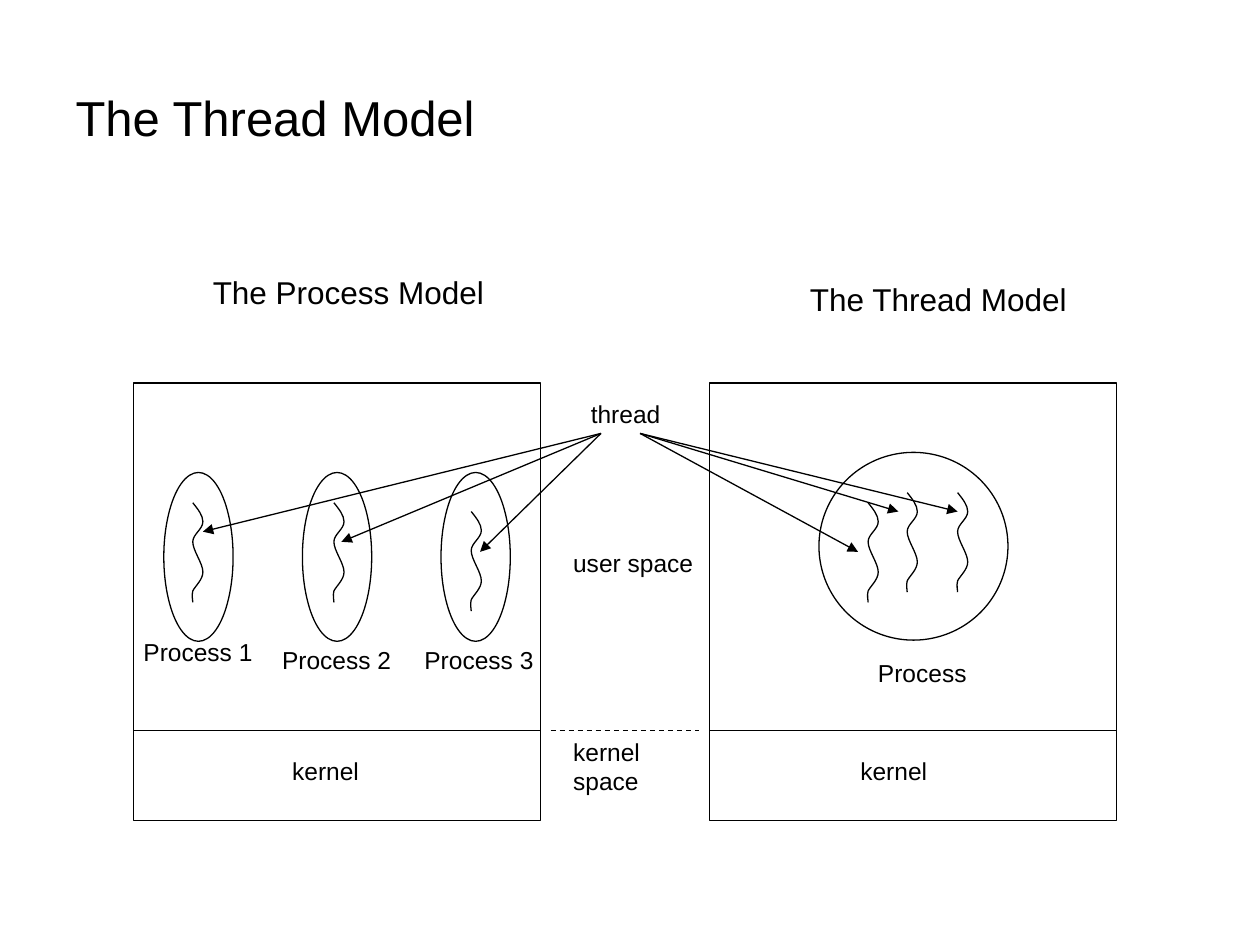
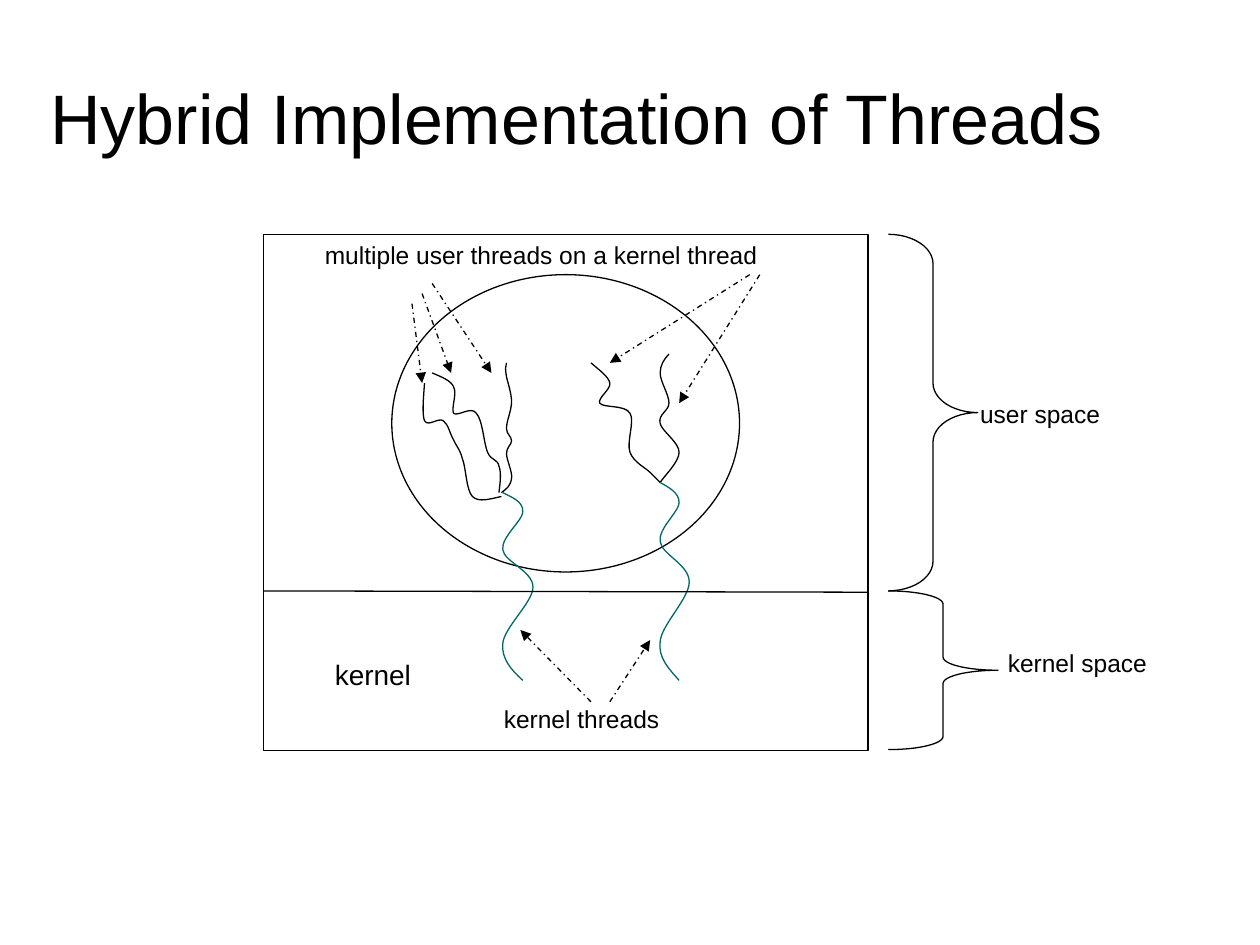
from dataclasses import dataclass

import lxml.etree
import pptx
import pptx.dml.color
import pptx.enum.dml
import pptx.enum.shapes
import pptx.enum.text
import pptx.oxml
import pptx.oxml.ns
import pptx.util
from pptx.shapes.base import BaseShape
from pptx.slide import Slide

PX = 9144  # 100 px to the inch
FONT = "Arial"
INK = "000000"
KERNEL_THREAD = "006666"
LINE_WIDTH = 0.75
LABEL_SLACK = 4  # keeps a label on one line

Point = tuple[int, int]
Dash = pptx.enum.dml.MSO_LINE
Preset = pptx.enum.shapes.MSO_SHAPE


@dataclass(frozen=True)
class Box:
    left: int
    top: int
    width: int
    height: int

    def emu(self) -> list[int]:
        return [px * PX for px in (self.left, self.top, self.width, self.height)]


@dataclass(frozen=True)
class Label:
    box: Box
    text: str
    size: int = 14


@dataclass(frozen=True)
class Line:
    start: Point
    end: Point
    arrow: bool = False
    dash: Dash | None = None


@dataclass(frozen=True)
class Curve:
    """A start point, then three Bezier points for each segment."""
    points: list[Point]
    color: str = INK


def rgb(color: str) -> pptx.dml.color.RGBColor:
    return pptx.dml.color.RGBColor.from_string(color)


def set_line(line: pptx.dml.line.LineFormat, color: str = INK) -> None:
    line.color.rgb = rgb(color)
    line.width = pptx.util.Pt(LINE_WIDTH)


def set_outline(shape: BaseShape, color: str = INK) -> None:
    shape.shadow.inherit = False
    shape.fill.background()
    set_line(shape.line, color)


def set_text(frame: pptx.text.text.TextFrame, text: str, size: int) -> None:
    frame.text = text
    for paragraph in frame.paragraphs:
        paragraph.alignment = pptx.enum.text.PP_ALIGN.LEFT
        paragraph.font.name = FONT
        paragraph.font.size = pptx.util.Pt(size)
        paragraph.font.color.rgb = rgb(INK)


def add_titled_slide(deck: pptx.presentation.Presentation, title: Label) -> Slide:
    slide = deck.slides.add_slide(deck.slide_layouts[5])
    heading = slide.shapes.title
    heading.left, heading.top, heading.width, heading.height = title.box.emu()
    heading.text_frame.vertical_anchor = pptx.enum.text.MSO_ANCHOR.MIDDLE
    set_text(heading.text_frame, title.text, title.size)
    return slide


def add_outline(slide: Slide, preset: Preset, box: Box) -> BaseShape:
    outline = slide.shapes.add_shape(preset, *box.emu())
    set_outline(outline)
    return outline


def add_label(slide: Slide, label: Label) -> None:
    left, top, width, height = label.box.emu()
    caption = slide.shapes.add_textbox(left, top, width + LABEL_SLACK * PX, height)
    frame = caption.text_frame
    frame.word_wrap = False
    frame.auto_size = pptx.enum.text.MSO_AUTO_SIZE.SHAPE_TO_FIT_TEXT
    set_text(frame, label.text, label.size)


def add_line(slide: Slide, line: Line) -> None:
    ends = [px * PX for px in (*line.start, *line.end)]
    connector = slide.shapes.add_connector(
        pptx.enum.shapes.MSO_CONNECTOR.STRAIGHT, *ends)
    set_line(connector.line)
    if line.dash is not None:
        connector.line.dash_style = line.dash
    properties = connector.line._get_or_add_ln()
    if line.arrow:
        head = pptx.oxml.parse_xml(
            f'<a:tailEnd {pptx.oxml.ns.nsdecls("a")} type="triangle"/>')
        properties.append(head)
    properties.addnext(
        pptx.oxml.parse_xml(f'<a:effectLst {pptx.oxml.ns.nsdecls("a")}/>'))


def add_curve(slide: Slide, curve: Curve) -> None:
    """Draw a freeform whose line segments are joined by threes into Beziers."""
    start, *others = curve.points
    builder = slide.shapes.build_freeform(*start, scale=PX)
    builder.add_line_segments(others, close=False)
    thread = builder.convert_to_shape()
    segments = list(thread._element.iter(pptx.oxml.ns.qn("a:lnTo")))
    outline = segments[0].getparent()
    for first in range(0, len(segments), 3):
        bend = lxml.etree.SubElement(outline, pptx.oxml.ns.qn("a:cubicBezTo"))
        for segment in segments[first:first + 3]:
            bend.append(segment[0])
            outline.remove(segment)
    set_outline(thread, curve.color)


def add_diagram(slide: Slide, curves: list[Curve], lines: list[Line],
                labels: list[Label]) -> None:
    for curve in curves:
        add_curve(slide, curve)
    for line in lines:
        add_line(slide, line)
    for label in labels:
        add_label(slide, label)


# Path of one thread, from its upper end
WIGGLE = [(0, 0), (4, 5), (8, 10), (8, 15), (8, 21), (0, 25), (0, 31),
          (0, 38), (8, 48), (8, 55), (8, 61), (2, 66), (0, 70),
          (-1, 74), (0, 77), (0, 79)]


def build_thread_model(deck: pptx.presentation.Presentation) -> None:
    slide = add_titled_slide(
        deck, Label(Box(50, 30, 900, 125), "The Thread Model", 28))
    kernel_top, model_width = 580, 323
    lines = [Line((437, kernel_top), (555, kernel_top), dash=Dash.DASH)]
    for left in (106, 563):
        add_outline(slide, Preset.RECTANGLE, Box(left, 304, model_width, 347))
        lines.append(Line((left, kernel_top), (left + model_width, kernel_top)))
    for number in range(3):
        add_outline(slide, Preset.OVAL, Box(130 + 110 * number, 375, 55, 134))
    add_outline(slide, Preset.OVAL, Box(650, 359, 150, 149))

    thread_tops = [(153, 399), (265, 399), (374, 406),
                   (689, 399), (720, 391), (760, 391)]
    threads = [Curve([(x + dx, y + dy) for dx, dy in WIGGLE])
               for x, y in thread_tops]
    targets = {(477, 344): [(381, 438), (271, 430), (161, 422)],
               (508, 344): [(681, 438), (713, 406), (760, 406)]}
    lines += [Line(start, end, arrow=True)
              for start, ends in targets.items() for end in ends]
    add_diagram(slide, threads, lines, [
        Label(Box(459, 312, 75, 34), "thread"),
        Label(Box(104, 501, 106, 34), "Process 1"),
        Label(Box(214, 507, 106, 34), "Process 2"),
        Label(Box(327, 507, 106, 34), "Process 3"),
        Label(Box(687, 517, 90, 34), "Process"),
        Label(Box(445, 430, 115, 34), "user space"),
        Label(Box(445, 580, 78, 57), "kernel\nspace"),
        Label(Box(222, 595, 73, 34), "kernel"),
        Label(Box(673, 595, 73, 34), "kernel"),
        Label(Box(159, 212, 235, 40), "The Process Model", 18),
        Label(Box(633, 217, 224, 40), "The Thread Model", 18),
    ])


USER_THREADS = [
    [(343, 296), (350, 299), (358, 302), (360, 307), (363, 312), (358, 324),
     (360, 328), (363, 331), (374, 322), (378, 328), (383, 333), (384, 352),
     (387, 359), (390, 366), (395, 364), (396, 370), (398, 375), (397, 383),
     (396, 391)],
    [(398, 391), (402, 388), (405, 386), (406, 380), (407, 375), (402, 365),
     (402, 360), (402, 355), (406, 353), (406, 350), (406, 346), (402, 345),
     (402, 340), (402, 334), (406, 326), (406, 319), (406, 312), (403, 304),
     (402, 299), (401, 293), (401, 291), (402, 288)],
    [(398, 394), (389, 396), (380, 399), (375, 394), (370, 389), (370, 371),
     (367, 364), (365, 356), (362, 354), (360, 349), (357, 344), (356, 337),
     (352, 334), (348, 331), (340, 339), (337, 334), (335, 329), (336, 317),
     (337, 304)],
    [(469, 288), (476, 294), (483, 299), (484, 304), (485, 309), (474, 316),
     (476, 320), (479, 324), (496, 321), (500, 328), (504, 334), (497, 351),
     (500, 359), (503, 367), (512, 371), (516, 375), (520, 379), (522, 381),
     (524, 383)],
    [(531, 281), (527, 285), (524, 290), (524, 296), (524, 303), (531, 313),
     (531, 320), (531, 326), (522, 329), (524, 336), (525, 342), (539, 351),
     (539, 359), (539, 367), (526, 379), (524, 383)],
]
KERNEL_THREADS = [
    [(399, 391), (407, 395), (415, 398), (415, 406), (415, 413), (398, 426),
     (399, 436), (400, 446), (423, 453), (423, 466), (423, 478), (400, 498),
     (399, 511), (398, 523), (406, 532), (415, 540)],
    [(524, 383), (531, 387), (539, 391), (539, 399), (539, 406), (522, 420),
     (524, 430), (525, 440), (547, 448), (547, 462), (547, 475), (525, 496),
     (524, 509), (522, 522), (531, 531), (539, 540)],
]


def build_hybrid_threads(deck: pptx.presentation.Presentation) -> None:
    slide = add_titled_slide(
        deck, Label(Box(30, 30, 920, 125), "Hybrid Implementation of Threads", 40))
    add_outline(slide, Preset.RECTANGLE, Box(209, 186, 480, 410))
    add_outline(slide, Preset.OVAL, Box(311, 218, 276, 236))
    for space, curl in ((Box(705, 186, 71, 283), 0.33),
                        (Box(705, 469, 87, 126), 0.12)):
        add_outline(slide, Preset.RIGHT_BRACE, space).adjustments[0] = curl

    threads = [Curve(points) for points in USER_THREADS]
    threads += [Curve(points, KERNEL_THREAD) for points in KERNEL_THREADS]
    pointers = [((469, 557), (413, 500)), ((484, 557), (516, 508)),
                ((603, 218), (539, 320)), ((595, 218), (484, 288)),
                ((343, 225), (390, 296)), ((335, 233), (358, 296)),
                ((327, 241), (335, 304))]
    lines = [Line((209, 469), (689, 470))]
    lines += [Line(start, end, True, Dash.DASH_DOT) for start, end in pointers]
    add_diagram(slide, threads, lines, [
        Label(Box(256, 517, 80, 37), "kernel", 16),
        Label(Box(768, 312, 115, 34), "user space"),
        Label(Box(790, 509, 130, 34), "kernel space"),
        Label(Box(390, 554, 143, 34), "kernel threads"),
        Label(Box(248, 186, 363, 34), "multiple user threads on a kernel thread"),
    ])


def main() -> None:
    deck = pptx.Presentation()
    deck.slide_width, deck.slide_height = 1000 * PX, 750 * PX
    build_thread_model(deck)
    build_hybrid_threads(deck)
    deck.save("out.pptx")


if __name__ == "__main__":
    main()
